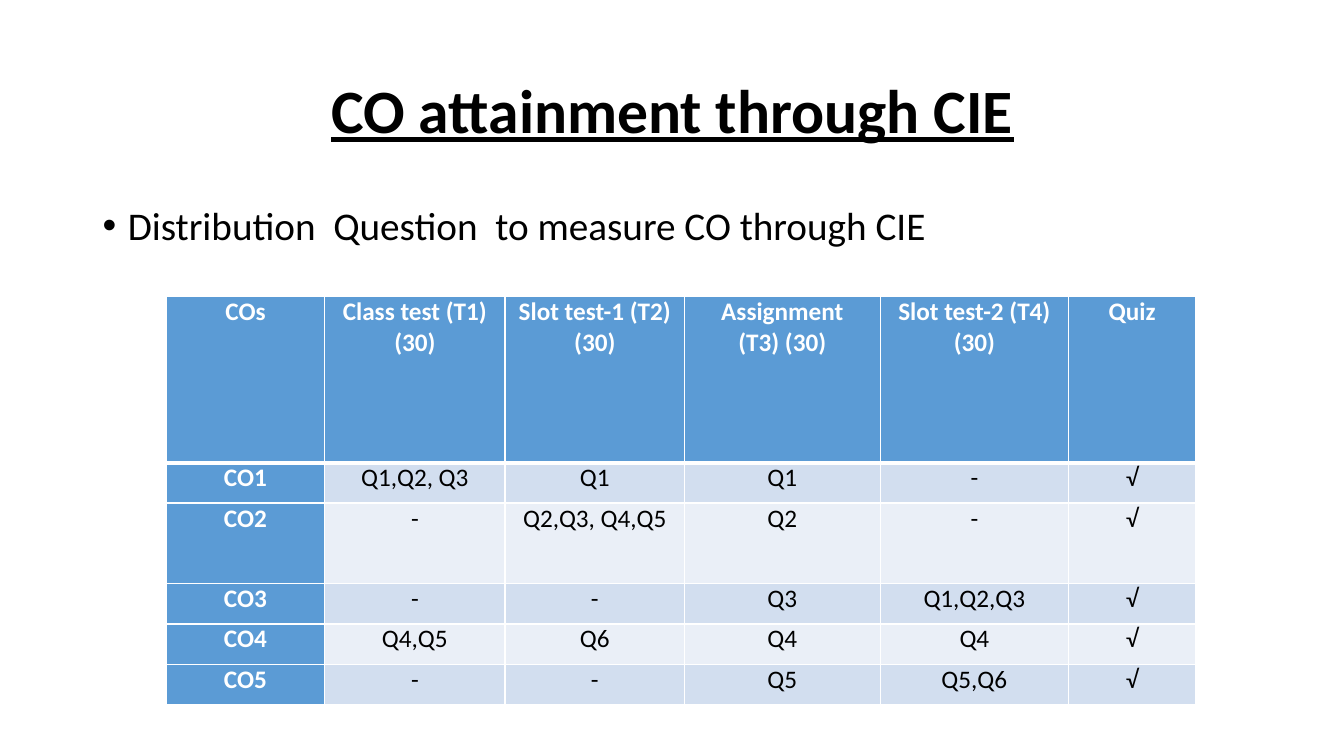
from lxml.etree import SubElement
from pptx import Presentation
from pptx.dml.color import RGBColor
from pptx.enum.text import MSO_ANCHOR as ANCHOR, PP_ALIGN as ALIGN
from pptx.oxml.ns import qn
from pptx.util import Inches, Pt

FONT = "Calibri"
COLORS = {
    "text": "000000",
    "white": "FFFFFF",
    "header": "5B9BD5",
    "odd": "D2DEEF",
    "even": "EAEFF7",
}
COL_WIDTHS = [1.57, 1.79, 1.78, 1.94, 1.87, 1.26]
ROW_HEIGHTS = [1.65, 0.4, 0.8, 0.4, 0.4, 0.4]
ROWS = [
    ["COs", "Class test (T1)\n(30)", "Slot test-1 (T2) (30)",
     "Assignment\n(T3) (30)", "Slot test-2 (T4) (30)", "Quiz"],
    ["CO1", "Q1,Q2, Q3", "Q1", "Q1", "-", "√"],
    ["CO2", "-", "Q2,Q3, Q4,Q5", "Q2", "-", "√"],
    ["CO3", "-", "-", "Q3", "Q1,Q2,Q3", "√"],
    ["CO4", "Q4,Q5", "Q6", "Q4", "Q4", "√"],
    ["CO5", "-", "-", "Q5", "Q5,Q6", "√"],
]


def rgb(name):
    return RGBColor.from_string(COLORS[name])


def add_run(p, text, size, color="text", bold=False, underline=False):
    r = p.add_run()
    r.text = text
    r.font.name = FONT
    r.font.size = Pt(size)
    r.font.bold = bold
    r.font.underline = underline
    r.font.color.rgb = rgb(color)


def place(shape, x, y, w, h):
    shape.left, shape.top = Inches(x), Inches(y)
    shape.width, shape.height = Inches(w), Inches(h)


def add_title(s, x, y, w, h):
    title = s.shapes.title
    place(title, x, y, w, h)
    tf = title.text_frame
    tf.vertical_anchor = ANCHOR.MIDDLE
    p = tf.paragraphs[0]
    p.alignment = ALIGN.CENTER
    p.line_spacing = 0.9
    add_run(p, "CO attainment through CIE", 44, bold=True, underline=True)


def add_bullet(s, x, y, w, h):
    box = s.shapes.add_textbox(Inches(x), Inches(y), Inches(w), Inches(h))
    tf = box.text_frame
    tf.word_wrap = True
    p = tf.paragraphs[0]
    p.line_spacing = 0.9
    p.space_before = Pt(10)
    add_run(p, "Distribution  Question  to measure CO through CIE", 28)
    pPr = p._p.get_or_add_pPr()
    pPr.set("marL", str(Inches(0.25)))
    pPr.set("indent", str(Inches(-0.25)))
    SubElement(pPr, qn("a:buFont"), typeface="Arial")
    SubElement(pPr, qn("a:buChar"), char="•")


def set_borders(cell, top, bottom):
    tcPr = cell._tc.get_or_add_tcPr()
    for side, width in (("L", 1), ("R", 1), ("T", top), ("B", bottom)):
        ln = SubElement(tcPr, qn(f"a:ln{side}"), w=str(Pt(width)))
        fill = SubElement(ln, qn("a:solidFill"))
        SubElement(fill, qn("a:srgbClr"), val=COLORS["white"])


def fill_cell(cell, text, row, col):
    is_header = row == 0 or col == 0
    set_borders(cell, 3 if row == 1 else 1, 3 if row == 0 else 1)
    cell.fill.solid()
    band = "odd" if row % 2 else "even"
    cell.fill.fore_color.rgb = rgb("header" if is_header else band)
    cell.margin_left = cell.margin_right = Inches(0.07)
    cell.margin_top = cell.margin_bottom = 0
    tf = cell.text_frame
    for i, line in enumerate(text.split("\n")):
        p = tf.add_paragraph() if i else tf.paragraphs[0]
        p.alignment = ALIGN.CENTER
        add_run(p, line, 18, "white" if is_header else "text", is_header)


def add_distribution_table(s, x, y, w, h):
    frame = s.shapes.add_table(len(ROWS), len(COL_WIDTHS),
                               Inches(x), Inches(y), Inches(w), Inches(h))
    table = frame.table
    table.first_col = True
    for column, width in zip(table.columns, COL_WIDTHS):
        column.width = Inches(width)
    for row, height in zip(table.rows, ROW_HEIGHTS):
        row.height = Inches(height)
    for i, values in enumerate(ROWS):
        for j, text in enumerate(values):
            fill_cell(table.cell(i, j), text, i, j)


def main():
    prs = Presentation()
    prs.slide_width, prs.slide_height = Inches(13.33), Inches(7.5)
    s = prs.slides.add_slide(prs.slide_layouts[5])
    add_title(s, 0.92, 0.4, 11.5, 1.45)
    add_bullet(s, 0.92, 2, 11.5, 0.93)
    add_distribution_table(s, 1.65, 2.94, sum(COL_WIDTHS), sum(ROW_HEIGHTS))
    prs.save("out.pptx")


if __name__ == "__main__":
    main()
